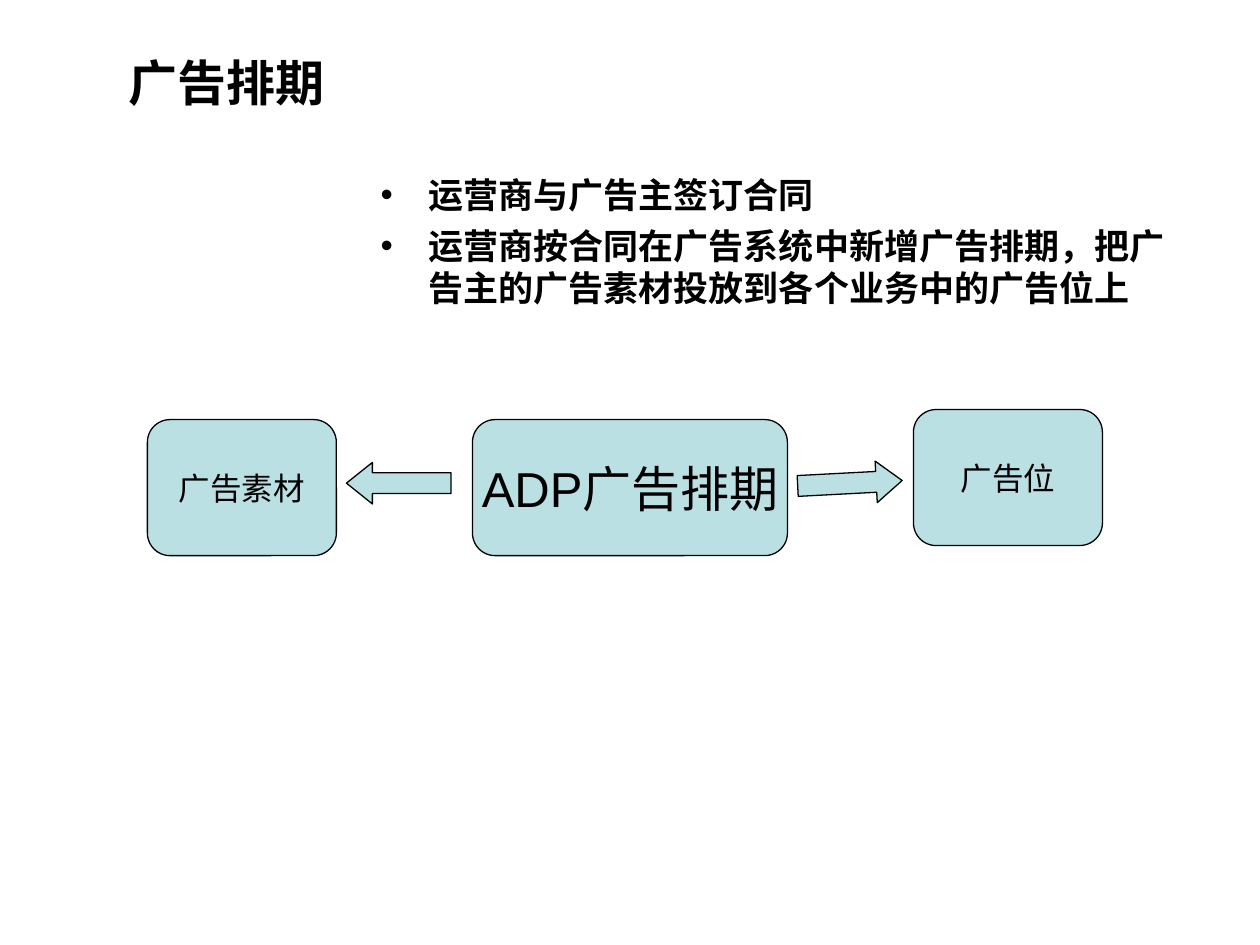
from dataclasses import dataclass

from pptx import Presentation
from pptx.dml.color import RGBColor
from pptx.enum.shapes import MSO_SHAPE
from pptx.enum.text import MSO_ANCHOR, MSO_AUTO_SIZE, PP_ALIGN
from pptx.util import Inches, Pt

ROUNDED = MSO_SHAPE.ROUNDED_RECTANGLE
LEFT_ARROW = MSO_SHAPE.LEFT_ARROW
MIDDLE, TOP = MSO_ANCHOR.MIDDLE, MSO_ANCHOR.TOP
NO_AUTOFIT = MSO_AUTO_SIZE.NONE
LEFT, CENTER = PP_ALIGN.LEFT, PP_ALIGN.CENTER

COLORS = {"text": "000000", "outline": "000000", "fill": "BBE0E3"}
LATIN_FONT, LIST_FONT = "Arial", "Noto Sans CJK SC"
BOX_HEIGHT = 1.08
ARROW_TOP, ARROW_WIDTH, ARROW_HEIGHT = 3.67, 0.83, 0.33


@dataclass
class Box:
    label: str
    left: float
    top: float
    width: float
    size: int


@dataclass
class Arrow:
    left: float
    rotation: float


BOXES = [
    Box("ADP广告排期", 3.75, 3.33, 2.5, 28),
    Box("广告位", 7.25, 3.25, 1.5, 18),
    Box("广告素材", 1.17, 3.33, 1.5, 18),
]
ARROWS = [Arrow(2.75, 0), Arrow(6.33, 177)]
POINTS = [
    "运营商与广告主签订合同",
    "运营商按合同在广告系统中新增广告排期，把广告主的广告素材投放到各个业务中的广告位上",
]


def color(key: str) -> RGBColor:
    return RGBColor.from_string(COLORS[key])


def place(shape, left: float, top: float, width: float, height: float) -> None:
    shape.left, shape.top = Inches(left), Inches(top)
    shape.width, shape.height = Inches(width), Inches(height)


def format_text(frame, size: int, font: str, bold: bool, align, anchor) -> None:
    frame.auto_size = NO_AUTOFIT
    frame.vertical_anchor = anchor
    for paragraph in frame.paragraphs:
        paragraph.alignment = align
        for run in paragraph.runs:
            run.font.name = font
            run.font.size = Pt(size)
            run.font.bold = bold
            run.font.color.rgb = color("text")


def add_outlined(slide, kind, left: float, top: float, width: float, height: float):
    shape = slide.shapes.add_shape(
        kind, Inches(left), Inches(top), Inches(width), Inches(height)
    )
    shape.shadow.inherit = False
    shape.fill.solid()
    shape.fill.fore_color.rgb = color("fill")
    shape.line.color.rgb = color("outline")
    shape.line.width = Pt(0.75)
    return shape


def add_box(slide, box: Box) -> None:
    shape = add_outlined(slide, ROUNDED, box.left, box.top, box.width, BOX_HEIGHT)
    frame = shape.text_frame
    frame.text = box.label
    frame.word_wrap = False
    format_text(frame, box.size, LATIN_FONT, False, CENTER, MIDDLE)


def add_arrow(slide, arrow: Arrow) -> None:
    shape = add_outlined(
        slide, LEFT_ARROW, arrow.left, ARROW_TOP, ARROW_WIDTH, ARROW_HEIGHT
    )
    shape.adjustments[1] = 0.625
    shape.rotation = arrow.rotation


def main() -> None:
    deck = Presentation()
    deck.slide_width, deck.slide_height = Inches(10), Inches(7.5)
    slide = deck.slides.add_slide(deck.slide_layouts[1])

    # Title
    title = slide.shapes.title
    place(title, 0.92, 0.25, 8.58, 0.8)
    title.text_frame.text = "广告排期"
    format_text(title.text_frame, 28, LATIN_FONT, True, LEFT, MIDDLE)

    # Bulleted list
    points = slide.placeholders[1]
    place(points, 2.92, 1.33, 6.58, 1.84)
    points.text_frame.text = "\n".join(POINTS)
    format_text(points.text_frame, 20, LIST_FONT, True, LEFT, TOP)
    for index, paragraph in enumerate(points.text_frame.paragraphs):
        paragraph.space_before = Pt(5 if index else 0)
        properties = paragraph._p.get_or_add_pPr()
        properties.set("marL", str(Inches(0.38)))
        properties.set("indent", str(Inches(-0.38)))

    # Schedule linked to the material and the ad slot
    for box in BOXES:
        add_box(slide, box)
    for arrow in ARROWS:
        add_arrow(slide, arrow)

    deck.save("out.pptx")


if __name__ == "__main__":
    main()
